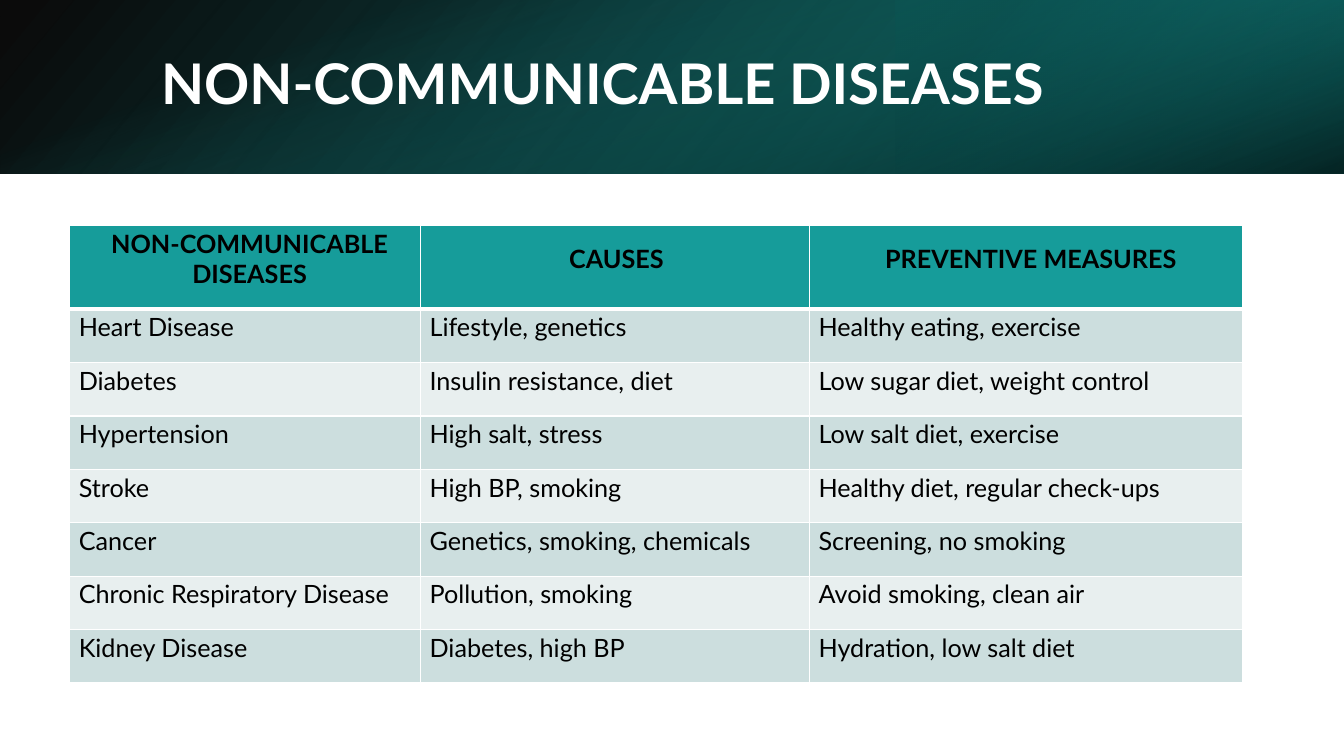
import pptx
import pptx.dml.color
import pptx.enum.shapes
import pptx.enum.text
import pptx.oxml
import pptx.oxml.ns
import pptx.util

Pt = pptx.util.Pt
RGBColor = pptx.dml.color.RGBColor
ALIGN = pptx.enum.text.PP_ALIGN
MIDDLE = pptx.enum.text.MSO_ANCHOR.MIDDLE
NS = pptx.oxml.ns.nsdecls("a")

BLACK = RGBColor(0x00, 0x00, 0x00)
WHITE = RGBColor(0xFF, 0xFF, 0xFF)
TEAL = RGBColor(0x16, 0x9C, 0x9A)
MID_TEAL = RGBColor(0x11, 0x75, 0x73)
DARK_TEAL = RGBColor(0x0B, 0x4E, 0x4D)
BANDS = (RGBColor(0xCC, 0xDE, 0xDE), RGBColor(0xE8, 0xEF, 0xEF))

SLIDE_W, SLIDE_H = 960, 540
BANNER_H = 124
COL_WIDTHS = (250.6, 277.9, 309.6)
ROW_H = 38.16

HEADERS = ("NON-COMMUNICABLE DISEASES", "CAUSES ", "PREVENTIVE MEASURES")
DISEASES = (
    ("Heart Disease", "Lifestyle, genetics", "Healthy eating, exercise"),
    ("Diabetes", "Insulin resistance, diet", "Low sugar diet, weight control"),
    ("Hypertension", "High salt, stress", "Low salt diet, exercise"),
    ("Stroke", "High BP, smoking", "Healthy diet, regular check-ups"),
    ("Cancer", "Genetics, smoking, chemicals", "Screening, no smoking"),
    ("Chronic Respiratory Disease", "Pollution, smoking", "Avoid smoking, clean air"),
    ("Kidney Disease", "Diabetes, high BP", "Hydration, low salt diet"),
)


def write(tf, text, size=18, color=BLACK, bold=False, align=ALIGN.LEFT, spacing=None):
    tf.word_wrap = True
    p = tf.paragraphs[0]
    p.alignment = align
    p.line_spacing = spacing
    r = p.add_run()
    r.text = text
    r.font.name = "Lato"
    r.font.size = Pt(size)
    r.font.bold = bold
    r.font.color.rgb = color


def add_gradient(s, x, y, w, h, stops, angle, rotation=0, flip=False):
    """Stops are (position %, colour, opacity %)."""
    sp = s.shapes.add_shape(pptx.enum.shapes.MSO_SHAPE.RECTANGLE, Pt(x), Pt(y), Pt(w), Pt(h))
    sp.shadow.inherit = False
    sp.line.fill.background()
    sp.rotation = rotation
    spPr = sp._element.spPr
    if flip:
        spPr.xfrm.set("flipH", "1")
    gs = "".join(
        f'<a:gs pos="{pos * 1000}"><a:srgbClr val="{color}">'
        f'<a:alpha val="{opacity * 1000}"/></a:srgbClr></a:gs>'
        for pos, color, opacity in stops)
    fill = pptx.oxml.parse_xml(
        f'<a:gradFill {NS}><a:gsLst>{gs}</a:gsLst>'
        f'<a:lin ang="{angle * 60000}" scaled="0"/></a:gradFill>')
    spPr.find(pptx.oxml.ns.qn("a:prstGeom")).addnext(fill)


def add_banner(s):
    add_gradient(s, 0, 0, SLIDE_W, BANNER_H,
                 [(0, BLACK, 96), (100, MID_TEAL, 100)], 140, flip=True)
    add_gradient(s, SLIDE_W * 2 / 3, 0, SLIDE_W / 3, BANNER_H,
                 [(19, DARK_TEAL, 68), (100, TEAL, 79)], 320, rotation=180, flip=True)
    # Upright strip turned on its side to cover the banner
    offset = (SLIDE_W - BANNER_H) / 2
    add_gradient(s, offset, -offset, BANNER_H, SLIDE_W,
                 [(23, TEAL, 0), (99, BLACK, 74)], 340, rotation=90)


def add_title(s, text):
    tf = s.shapes.add_textbox(Pt(108), Pt(27.4), Pt(790.6), Pt(69.1)).text_frame
    tf.vertical_anchor = MIDDLE
    write(tf, text, size=40, color=WHITE, bold=True, spacing=0.9)


def format_cell(cell, fill, top=1, bottom=1):
    cell.vertical_anchor = MIDDLE
    cell.margin_left, cell.margin_top = Pt(6.6), Pt(1.9)
    cell.margin_right, cell.margin_bottom = Pt(0), Pt(14.4)
    tcPr = cell._tc.get_or_add_tcPr()
    for side, width in (("L", 1), ("R", 1), ("T", top), ("B", bottom)):
        tcPr.append(pptx.oxml.parse_xml(
            f'<a:ln{side} {NS} w="{Pt(width)}"><a:solidFill>'
            f'<a:srgbClr val="{WHITE}"/></a:solidFill></a:ln{side}>'))
    cell.fill.solid()
    cell.fill.fore_color.rgb = fill


def add_disease_table(s):
    rows = (HEADERS,) + DISEASES
    frame = s.shapes.add_table(len(rows), len(HEADERS), Pt(49.7), Pt(161.3),
                               Pt(sum(COL_WIDTHS)), Pt(ROW_H * len(rows)))
    table = frame.table
    for column, width in zip(table.columns, COL_WIDTHS):
        column.width = Pt(width)
    for i, row in enumerate(rows):
        table.rows[i].height = Pt(ROW_H)
        header = i == 0
        for j, text in enumerate(row):
            cell = table.cell(i, j)
            format_cell(cell, TEAL if header else BANDS[(i - 1) % 2],
                        top=3 if i == 1 else 1, bottom=3 if header else 1)
            write(cell.text_frame, text, bold=header,
                  align=ALIGN.CENTER if header else ALIGN.LEFT)
    # The two-line header makes the table taller than its rows
    frame.height = Pt(324.7)


def main():
    prs = pptx.Presentation()
    prs.slide_width, prs.slide_height = Pt(SLIDE_W), Pt(SLIDE_H)
    s = prs.slides.add_slide(prs.slide_layouts[6])
    add_banner(s)
    add_title(s, "NON-COMMUNICABLE DISEASES")
    add_disease_table(s)
    prs.save("out.pptx")


if __name__ == "__main__":
    main()
